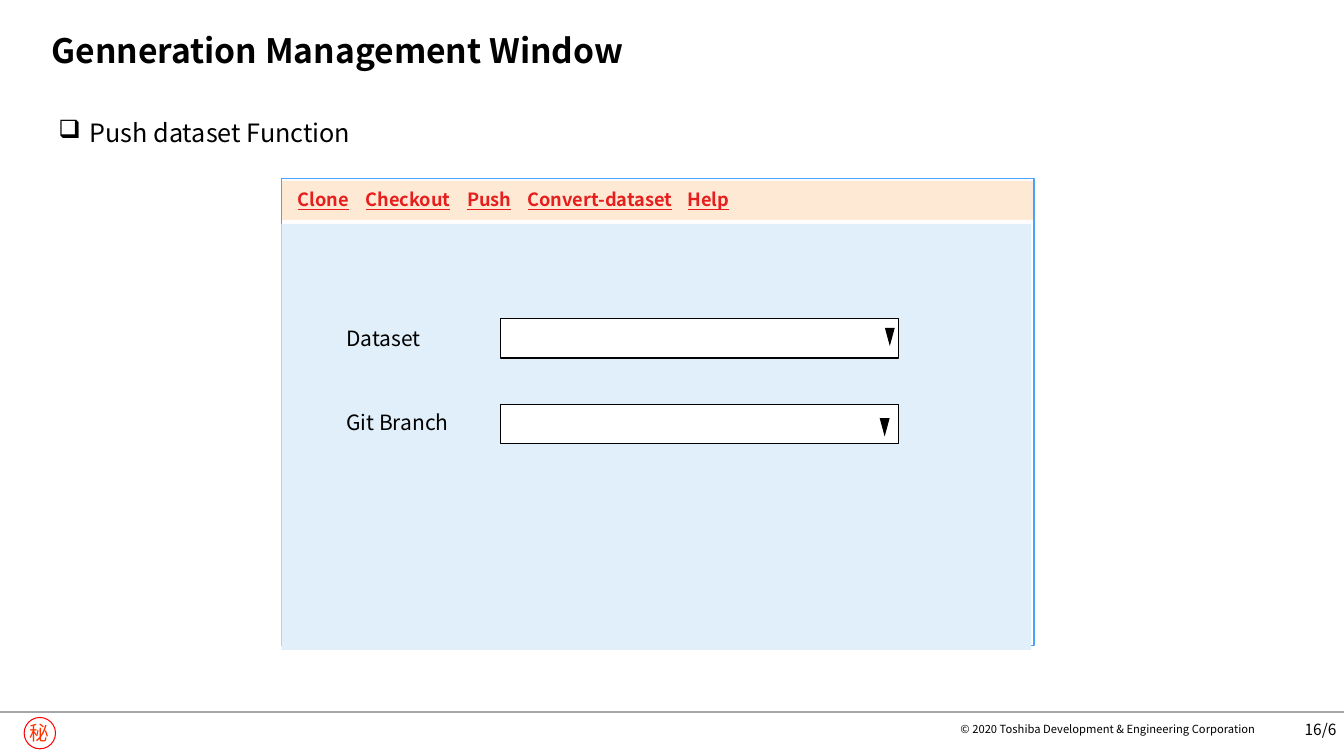
from lxml import etree
from pptx import Presentation
from pptx.dml.color import RGBColor
from pptx.enum.shapes import MSO_CONNECTOR, MSO_SHAPE
from pptx.enum.text import MSO_ANCHOR, PP_ALIGN
from pptx.oxml.ns import qn
from pptx.util import Cm, Pt

RECT, OVAL, MERGE = MSO_SHAPE.RECTANGLE, MSO_SHAPE.OVAL, MSO_SHAPE.FLOWCHART_MERGE
STRAIGHT = MSO_CONNECTOR.STRAIGHT
LEFT, CENTER, RIGHT = PP_ALIGN.LEFT, PP_ALIGN.CENTER, PP_ALIGN.RIGHT
TOP, MIDDLE, BOTTOM = MSO_ANCHOR.TOP, MSO_ANCHOR.MIDDLE, MSO_ANCHOR.BOTTOM

BLACK = RGBColor(0x00, 0x00, 0x00)
WHITE = RGBColor(0xFF, 0xFF, 0xFF)
GREY = RGBColor(0xA6, 0xA6, 0xA6)
RED = RGBColor(0xFF, 0x00, 0x00)
SEAL_RED = RGBColor(0xFF, 0x33, 0x00)
MENU_RED = RGBColor(0xE6, 0x1E, 0x1E)
WINDOW_BLUE = RGBColor(0x4B, 0xA1, 0xFF)
PANEL_BLUE = RGBColor(0xE0, 0xEF, 0xF9)
MENU_ORANGE = RGBColor(0xFE, 0xEA, 0xD4)

PAD = (0.25, 0.13, 0.25, 0.13)
NO_PAD = (0, 0, 0, 0)


class SlideBuilder:
    font_name = "Noto Sans CJK JP"

    def __init__(self, slide):
        self.slide = slide

    def shape(self, kind, box, fill=None, line=None, width=1):
        shape = self.slide.shapes.add_shape(kind, *map(Cm, box))
        shape.shadow.inherit = False
        if fill is None:
            shape.fill.background()
        else:
            shape.fill.solid()
            shape.fill.fore_color.rgb = fill
        if line is None:
            shape.line.fill.background()
        else:
            shape.line.color.rgb = line
            shape.line.width = Pt(width)
        return shape

    def rule(self, x1, y1, x2, y2, color, width):
        rule = self.slide.shapes.add_connector(STRAIGHT, *map(Cm, (x1, y1, x2, y2)))
        rule.line.color.rgb = color
        rule.line.width = Pt(width)
        etree.SubElement(rule._element.spPr, qn("a:effectLst"))

    def label(self, shape, text, size, color=BLACK, bold=False, align=LEFT,
              anchor=TOP, pad=PAD, wrap=True, bullet=None, indent=0, tabs=()):
        frame = shape.text_frame
        frame.word_wrap = wrap
        frame.vertical_anchor = anchor
        (frame.margin_left, frame.margin_top,
         frame.margin_right, frame.margin_bottom) = map(Cm, pad)
        paragraph = frame.paragraphs[0]
        paragraph.alignment = align
        props = paragraph._p.get_or_add_pPr()
        if bullet:
            props.set("marL", str(Cm(indent)))
            props.set("indent", str(-Cm(indent)))
            etree.SubElement(props, qn("a:buChar"), char=bullet)
        if tabs:
            tab_list = etree.SubElement(props, qn("a:tabLst"))
            for position in tabs:
                etree.SubElement(tab_list, qn("a:tab"), pos=str(Cm(position)), algn="l")
        font = paragraph.font
        font.size, font.bold, font.name = Pt(size), bold, self.font_name
        font.color.rgb = color
        etree.SubElement(props.find(qn("a:defRPr")), qn("a:ea"), typeface=self.font_name)
        if text:
            paragraph.add_run().text = text
        return paragraph

    def text(self, box, text, size, **style):
        return self.label(self.slide.shapes.add_textbox(*map(Cm, box)), text, size, **style)


def main():
    prs = Presentation()
    prs.slide_width, prs.slide_height = Cm(33.87), Cm(19.05)
    page = SlideBuilder(prs.slides.add_slide(prs.slide_layouts[6]))

    # Footer
    seal = page.shape(OVAL, (0.61, 18.08, 0.79, 0.79), line=RED, width=0.75)
    page.label(seal, "秘", 14, color=SEAL_RED, align=CENTER, anchor=MIDDLE,
               pad=NO_PAD, wrap=False)
    page.rule(0, 17.93, 33.87, 17.93, GREY, 1.5)
    page.text((31.88, 17.86, 1.8, 1.02), "16/6", 11, align=RIGHT, anchor=MIDDLE, pad=NO_PAD)
    page.text((23.65, 18.21, 8, 0.33), "© 2020 Toshiba Development & Engineering Corporation",
              8, align=RIGHT, anchor=MIDDLE, pad=NO_PAD, wrap=False)

    # Heading
    title = page.text((0, 0, 31.78, 2.08), "Genneration Management Window", 24, bold=True,
                      anchor=BOTTOM, pad=(1.3, 0.3, 1.19, 0.3))
    title.line_spacing = 0.9
    page.text((1.22, 2.82, 8.33, 1.02), "Push dataset Function", 18, bullet="❑", indent=0.79)

    # Window
    page.shape(RECT, (7.09, 4.5, 18.97, 11.76), WHITE, WINDOW_BLUE)
    page.shape(RECT, (7.09, 5.64, 18.9, 10.74), PANEL_BLUE)
    page.shape(RECT, (7.11, 4.55, 18.92, 0.99), MENU_ORANGE)

    # Menu: underlines run up to a tab stop, plain tabs part the entries
    menu = page.text((7.14, 4.62, 16.59, 0.81), "", 13, color=MENU_RED, bold=True,
                     pad=(0.36, 0.13, 0.25, 0.13),
                     tabs=(1.61, 1.72, 4.06, 4.27, 5.6, 5.8, 9.83))
    for entry in ("Clone\t", "\t", "Checkout\t", "\t", "Push\t", "\t", "Convert-dataset\tHelp"):
        run = menu.add_run()
        run.text = entry
        run.font.underline = entry != "\t"

    # Fields: label, label top, box top, arrow left, arrow top
    for field, label_top, box_top, arrow_left, arrow_top in (
            ("Dataset", 8.08, 8.03, 22.3, 8.26),
            ("Git Branch", 10.19, 10.19, 22.17, 10.54)):
        page.text((8.48, label_top, 5.54, 0.89), field, 15)
        page.shape(RECT, (12.62, box_top, 10.03, 0.99), WHITE, BLACK)
        page.shape(MERGE, (arrow_left, arrow_top, 0.25, 0.46), BLACK)

    prs.save("out.pptx")


if __name__ == "__main__":
    main()
